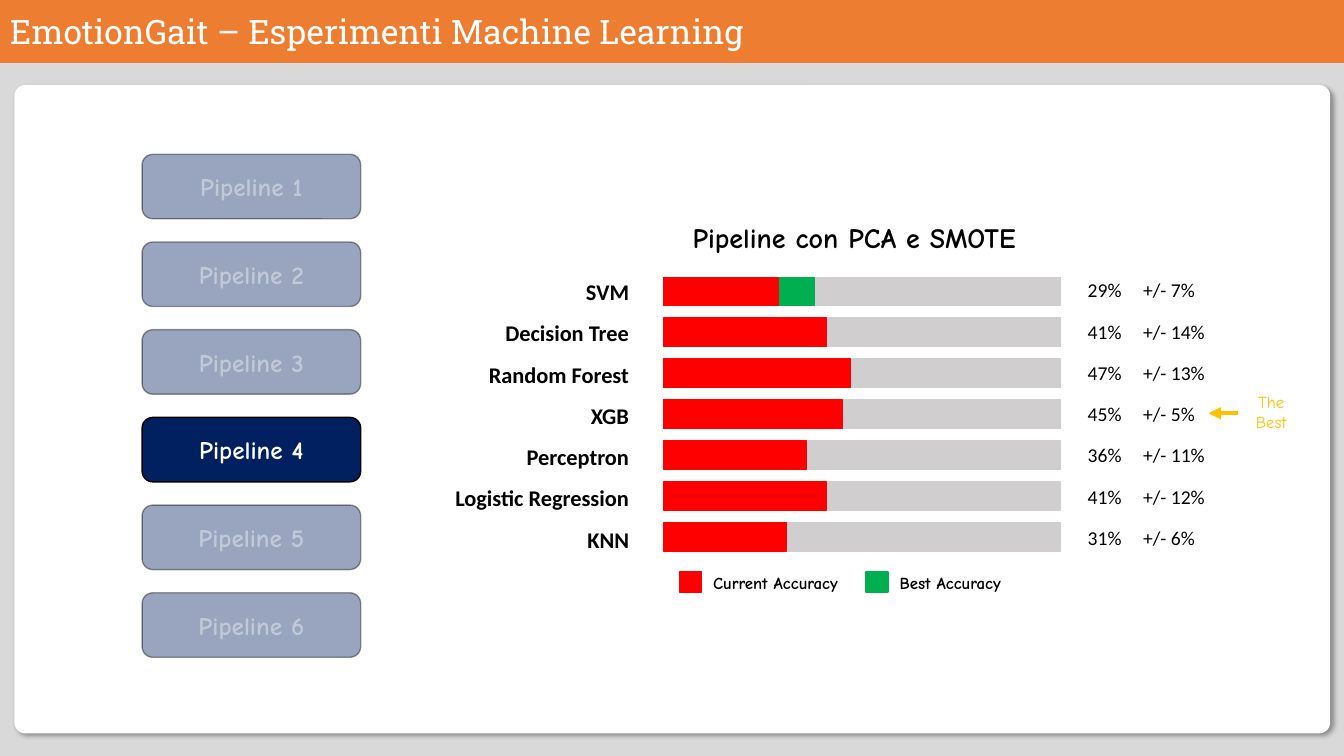
from dataclasses import dataclass

from lxml import etree
from pptx import Presentation
from pptx.dml.color import RGBColor
from pptx.enum import shapes, text
from pptx.oxml import ns
from pptx.util import Pt


@dataclass(frozen=True)
class Theme:
    page: str = "D9D9D9"
    white: str = "FFFFFF"
    black: str = "000000"
    banner: str = "ED7D31"
    navy: str = "002060"
    track: str = "D0CECE"
    current: str = "FF0000"
    best: str = "00B050"
    accent: str = "FFC000"
    title_font: str = "Roboto Slab"
    label_font: str = "Comic Neue"
    table_font: str = "Calibri"
    title: int = 24
    heading: int = 20
    button: int = 18
    model: int = 16
    score: int = 14
    small: int = 12


T = Theme()
ALIGN = text.PP_ALIGN
ANCHOR = text.MSO_ANCHOR

# Model, current accuracy, spread, best accuracy so far (percent)
RESULTS = [
    ("SVM", 29, 7, 38),
    ("Decision Tree", 41, 14, None),
    ("Random Forest", 47, 13, None),
    ("XGB", 45, 5, 44),
    ("Perceptron", 36, 11, None),
    ("Logistic Regression", 41, 12, None),
    ("KNN", 31, 6, None),
]
ACTIVE_PIPELINE = 4


def rgb(value):
    return RGBColor.from_string(value)


def add_xml(parent, tag, **attributes):
    return etree.SubElement(parent, ns.qn(tag), attributes)


def write(tf, words, font, size, color, bold=False, align=ALIGN.LEFT):
    p = tf.paragraphs[0]
    p.text = words
    p.alignment = align
    p.font.name, p.font.size, p.font.bold = font, Pt(size), bold
    p.font.color.rgb = rgb(color)


def add_box(s, x, y, w, h, fill, line=None, kind=shapes.MSO_SHAPE.RECTANGLE):
    sp = s.shapes.add_shape(kind, Pt(x), Pt(y), Pt(w), Pt(h))
    sp.shadow.inherit = False
    sp.fill.solid()
    sp.fill.fore_color.rgb = rgb(fill)
    sp.line.color.rgb = rgb(line or fill)
    sp.line.width = Pt(1)
    return sp


def add_label(s, x, y, w, h, words, font, size, color, bold=False,
              align=ALIGN.LEFT, anchor=ANCHOR.TOP):
    tf = s.shapes.add_textbox(Pt(x), Pt(y), Pt(w), Pt(h)).text_frame
    tf.word_wrap = True
    tf.vertical_anchor = anchor
    write(tf, words, font, size, color, bold, align)


def add_card(s):
    card = add_box(s, 10.8, 61.2, 938.9, 462.2, T.white,
                   kind=shapes.MSO_SHAPE.ROUNDED_RECTANGLE)
    card.adjustments[0] = 0.016
    effects = card._element.spPr.find(ns.qn("a:effectLst"))
    shadow = add_xml(effects, "a:outerShdw", blurRad=str(Pt(4)),
                     dist=str(Pt(3)), dir="2700000", algn="tl", rotWithShape="0")
    add_xml(add_xml(shadow, "a:srgbClr", val=T.black), "a:alpha", val="40000")


def add_pipeline(s, number):
    sp = add_box(s, 101.5, 110.2 + 62.65 * (number - 1), 156.2, 46.1, T.navy,
                 T.black, shapes.MSO_SHAPE.ROUNDED_RECTANGLE)
    sp.text_frame.vertical_anchor = ANCHOR.MIDDLE
    write(sp.text_frame, f"Pipeline {number}", T.label_font, T.button, T.white,
          True, ALIGN.CENTER)
    if number != ACTIVE_PIPELINE:
        for color in sp._element.findall(".//" + ns.qn("a:srgbClr")):
            add_xml(color, "a:alpha", val="40000")


def add_results_table(s):
    widths, row_height = (144.7, 313.2, 39.6, 88.6), 29.5
    table = s.shapes.add_table(
        len(RESULTS), len(widths), Pt(311.8), Pt(195.8), Pt(sum(widths)),
        Pt(row_height * len(RESULTS))).table
    table.first_row = table.horz_banding = False
    for column, width in zip(table.columns, widths):
        column.width = Pt(width)
    for row, (model, accuracy, spread, _) in zip(table.rows, RESULTS):
        row.height = Pt(row_height)
        for cell in row.cells:
            cell.fill.background()
        name, _, score, margin = row.cells
        write(name.text_frame, model, T.table_font, T.model, T.black, True,
              ALIGN.RIGHT)
        write(score.text_frame, f"{accuracy}%", T.table_font, T.score, T.black)
        write(margin.text_frame, f"+/- {spread}%", T.table_font, T.score, T.black)


def add_accuracy_bars(s):
    left, top, pitch, full, height = 474, 198, 29.25, 283.7, 20.2
    for i, (_, current, _, best) in enumerate(RESULTS):
        layers = ((100, T.track), (best, T.best), (current, T.current))
        for percent, color in layers:
            if percent:
                add_box(s, left, top + pitch * i, full * percent / 100, height,
                        color)


def add_legend_entry(s, x, words, color):
    add_box(s, x, 408.5, 15.8, 14.4, color)
    add_label(s, x + 17, 405.7, 118, 21.6, words, T.label_font, T.small,
              T.black, True)


def add_arrow(s, x1, x2, y):
    arrow = s.shapes.add_connector(shapes.MSO_CONNECTOR.STRAIGHT,
                                   Pt(x1), Pt(y), Pt(x2), Pt(y))
    arrow.line.color.rgb = rgb(T.accent)
    arrow.line.width = Pt(3)
    add_xml(arrow.line._get_or_add_ln(), "a:tailEnd", type="triangle")
    add_xml(arrow._element.spPr, "a:effectLst")


def main():
    prs = Presentation()
    prs.slide_width, prs.slide_height = Pt(960), Pt(540)
    s = prs.slides.add_slide(prs.slide_layouts[6])
    s.background.fill.solid()
    s.background.fill.fore_color.rgb = rgb(T.page)

    # Card and results table
    add_card(s)
    add_results_table(s)

    # Title banner
    add_box(s, 0, 0, 960, 44.6, T.banner)
    add_label(s, 0, 4.3, 668, 36, "EmotionGait – Esperimenti Machine Learning",
              T.title_font, T.title, T.white)

    # Pipeline selector
    for number in range(1, 7):
        add_pipeline(s, number)

    # Accuracy bars with heading and legend
    add_label(s, 367.2, 129.6, 486, 55.4, "Pipeline con PCA e SMOTE",
              T.label_font, T.heading, T.black, True, ALIGN.CENTER,
              ANCHOR.BOTTOM)
    add_accuracy_bars(s)
    add_legend_entry(s, 485.3, "Current Accuracy", T.current)
    add_legend_entry(s, 618.5, "Best Accuracy", T.best)

    # Marker for the best model
    add_label(s, 884.2, 276.5, 47.5, 36, "The Best", T.label_font, T.small,
              T.accent, align=ALIGN.CENTER)
    add_arrow(s, 884.2, 863.3, 295.2)

    prs.save("out.pptx")


if __name__ == "__main__":
    main()
